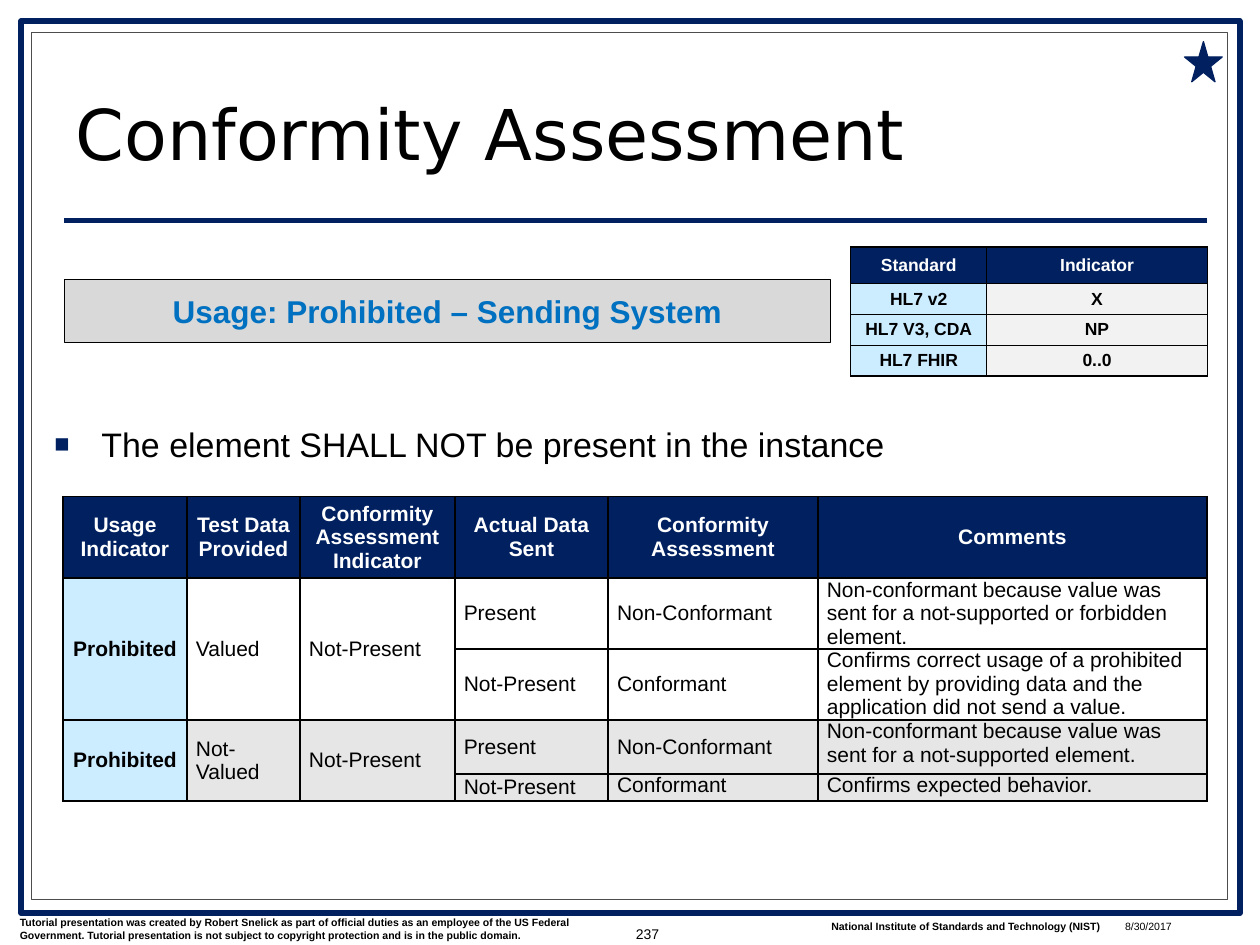
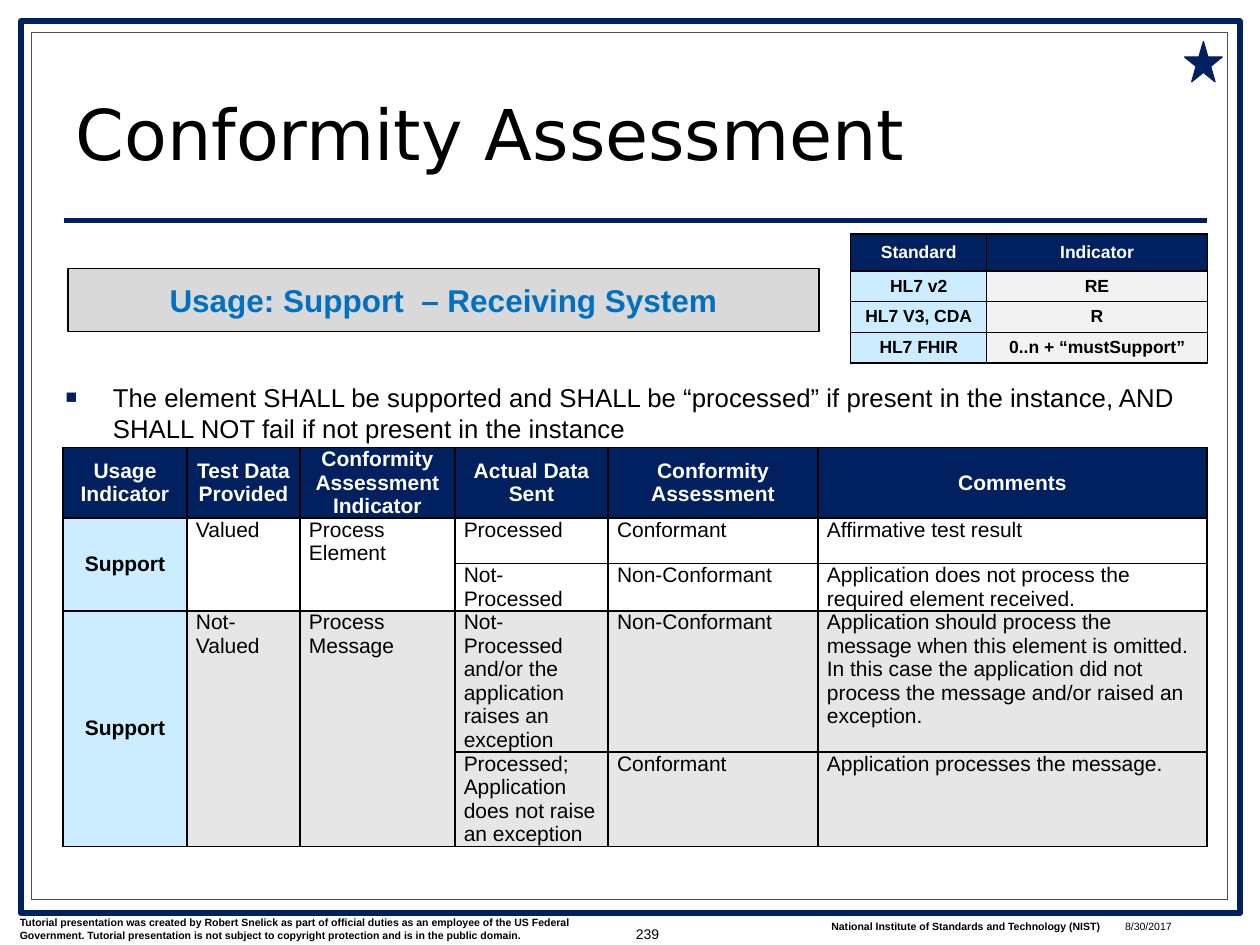
from dataclasses import dataclass
from itertools import product

from lxml.etree import SubElement
from pptx import Presentation
from pptx.dml.color import RGBColor
from pptx.enum.shapes import MSO_CONNECTOR, MSO_SHAPE
from pptx.enum.text import MSO_ANCHOR, MSO_AUTO_SIZE, PP_ALIGN
from pptx.oxml import parse_xml
from pptx.oxml.ns import nsdecls, qn
from pptx.util import Cm, Pt

NAVY, BLACK, WHITE, GRAPHITE = "002060", "000000", "FFFFFF", "4D4D4D"
BLUE, PALE_BLUE = "0070C0", "CCECFF"
BANNER_GREY, BAND_GREY, INDICATOR_GREY = "D9D9D9", "E6E6E6", "F2F2F2"

TITLE = "Conformity Assessment"
CREDIT = ("Tutorial presentation was created by Robert Snelick as part of official duties as an "
          "employee of the US Federal Government. Tutorial presentation is not subject to "
          "copyright protection and is in the public domain.")
INSTITUTE = "National Institute of Standards and Technology (NIST)"
DATE = "8/30/2017"
STANDARDS = ["HL7 v2", "HL7 V3, CDA", "HL7 FHIR"]
HEADERS = ["Usage Indicator", "Test Data Provided", "Conformity Assessment Indicator",
           "Actual Data Sent", "Conformity Assessment", "Comments"]
ASSESSMENT_COLS = [2.5, 2.28, 3.12, 3.09, 4.23, 7.84]
INDICATOR_COLS = [2.74, 4.45]
INDICATOR_ROWS = [0.74, 0.62, 0.62, 0.62]


@dataclass
class Box:
    """A place on the slide, in centimetres."""
    left: float
    top: float
    width: float
    height: float

    def lengths(self) -> list:
        return [Cm(v) for v in (self.left, self.top, self.width, self.height)]


@dataclass
class TextStyle:
    size: float
    color: str = BLACK
    bold: bool = False
    align: PP_ALIGN = PP_ALIGN.LEFT
    font: str = "Arial"


@dataclass
class CellLook:
    style: TextStyle
    fill: str = ""
    anchor: MSO_ANCHOR = MSO_ANCHOR.MIDDLE


@dataclass
class UsageSlide:
    number: str
    banner: str
    banner_box: Box
    indicators: list
    indicator_top: float
    rule: str
    rule_box: Box
    rule_size: float
    table_top: float
    row_heights: list
    rows: list
    top_cells: set


FOOTER = TextStyle(6)
FOOTER_BOLD = TextStyle(6, bold=True)

SLIDES = [
    UsageSlide(
        number="237",
        banner="Usage: Prohibited – Sending System",
        banner_box=Box(1.3, 5.64, 15.44, 1.27),
        indicators=["X", "NP", "0..0"],
        indicator_top=4.98,
        rule="The element SHALL NOT be present in the instance",
        rule_box=Box(0.84, 8.41, 23.5, 0.94),
        rule_size=19.4,
        table_top=10.01,
        row_heights=[1.64, 1.43, 1.43, 1.09, 0.55],
        rows=[
            ["Prohibited", "Valued", "Not-Present", "Present", "Non-Conformant",
             "Non-conformant because value was sent for a not-supported or forbidden element."],
            ["", "", "", "Not-Present", "Conformant",
             "Confirms correct usage of a prohibited element by providing data and the "
             "application did not send a value."],
            ["Prohibited", "Not-Valued", "Not-Present", "Present", "Non-Conformant",
             "Non-conformant because value was sent for a not-supported element."],
            ["", "", "", "Not-Present", "Conformant", "Confirms expected behavior."],
        ],
        top_cells=set(product(range(1, 5), [5])) | {(4, 4)},
    ),
    UsageSlide(
        number="239",
        banner="Usage: Support  – Receiving System",
        banner_box=Box(1.37, 5.41, 15.14, 1.27),
        indicators=["RE", "R", "0..n + “mustSupport”"],
        indicator_top=4.72,
        rule="The element SHALL be supported and SHALL be “processed” if present in the "
             "instance, AND SHALL NOT fail if not present in the instance",
        rule_box=Box(1.07, 7.57, 23.29, 1.37),
        rule_size=14.7,
        table_top=9.02,
        row_heights=[1.42, 0.92, 0.95, 2.85, 1.9],
        rows=[
            ["Support", "Valued", "Process Element", "Processed", "Conformant",
             "Affirmative test result"],
            ["", "", "", "Not-Processed", "Non-Conformant",
             "Application does not process the required element received."],
            ["Support", "Not-Valued", "Process Message",
             "Not-Processed and/or the application raises an exception", "Non-Conformant",
             "Application should process the message when this element is omitted. In this "
             "case the application did not process the message and/or raised an exception."],
            ["", "", "", "Processed; Application does not raise an exception", "Conformant",
             "Application processes the message."],
        ],
        top_cells=set(product(range(1, 5), range(1, 6))),
    ),
]


def rgb(color: str) -> RGBColor:
    return RGBColor.from_string(color)


def write(tf, text: str, style: TextStyle, anchor=MSO_ANCHOR.TOP):
    """Put one styled run in the first paragraph and return that paragraph."""
    tf.word_wrap = True
    tf.vertical_anchor = anchor
    p = tf.paragraphs[0]
    p.alignment = style.align
    r = p.add_run()
    r.text = text
    for name, value in {"size": Pt(style.size), "name": style.font, "bold": style.bold}.items():
        setattr(r.font, name, value)
    r.font.color.rgb = rgb(style.color)
    return p


def add_text(s, box: Box, text: str, style: TextStyle, anchor=MSO_ANCHOR.TOP) -> None:
    write(s.shapes.add_textbox(*box.lengths()).text_frame, text, style, anchor)


def add_preset(s, preset: MSO_SHAPE, box: Box, fill: str, line: str, width: float):
    sp = s.shapes.add_shape(preset, *box.lengths())
    sp.shadow.inherit = False
    sp.fill.solid()
    sp.fill.fore_color.rgb = rgb(fill)
    sp.line.color.rgb = rgb(line)
    sp.line.width = Pt(width)
    return sp


def fill_placeholder(s, index: int, box: Box, text: str, style: TextStyle, anchor):
    """Move a placeholder in front of the frame and write in it."""
    sp = s.placeholders[index]
    s.shapes._spTree.append(sp._element)
    for name, value in zip(("left", "top", "width", "height"), box.lengths()):
        setattr(sp, name, value)
    p = write(sp.text_frame, text, style, anchor)
    sp.text_frame.auto_size = MSO_AUTO_SIZE.NONE
    return p


def add_square_bullet(p) -> None:
    pPr = p._p.get_or_add_pPr()
    pPr.set("marL", str(Cm(0.95)))
    pPr.set("indent", str(-Cm(0.95)))
    SubElement(SubElement(pPr, qn("a:buClr")), qn("a:srgbClr")).set("val", NAVY)
    for tag, name, value in (("a:buSzPct", "val", "75000"), ("a:buFont", "typeface", "Arial"),
                             ("a:buChar", "char", "■")):
        SubElement(pPr, qn(tag)).set(name, value)


def add_frame(s) -> None:
    add_preset(s, MSO_SHAPE.RECTANGLE, Box(0.43, 0.43, 24.56, 17.98), WHITE, NAVY, 3.5)
    add_preset(s, MSO_SHAPE.RECTANGLE, Box(0.64, 0.66, 24.1, 17.48), WHITE, GRAPHITE, 0.75)
    line = s.shapes.add_connector(MSO_CONNECTOR.STRAIGHT, Cm(1.3), Cm(4.45), Cm(24.33), Cm(4.45))
    line.line.color.rgb = rgb(NAVY)
    line.line.width = Pt(3)
    SubElement(line._element.spPr, qn("a:effectLst"))


def add_footer(s, number: str) -> None:
    add_text(s, Box(0.15, 18.34, 12.27, 0.76), CREDIT, FOOTER_BOLD)
    add_text(s, Box(16.51, 18.42, 6.05, 0.51), INSTITUTE, FOOTER_BOLD)
    add_text(s, Box(22.43, 18.42, 2.34, 0.43), DATE, FOOTER)
    add_text(s, Box(12.07, 18.16, 1.47, 1.32), number, TextStyle(8, align=PP_ALIGN.RIGHT),
             MSO_ANCHOR.MIDDLE)


def format_cell(cell, text: str, look: CellLook) -> None:
    for name, value in {"margin_left": Cm(0.18), "margin_right": Cm(0.18), "margin_top": 0,
                        "margin_bottom": 0, "vertical_anchor": look.anchor}.items():
        setattr(cell, name, value)
    write(cell.text_frame, text, look.style, look.anchor)
    if look.fill:
        cell.fill.solid()
        cell.fill.fore_color.rgb = rgb(look.fill)
    else:
        cell.fill.background()
    tcPr = cell._tc.get_or_add_tcPr()
    for i, side in enumerate("LRTB"):
        tcPr.insert(i, parse_xml(
            f'<a:ln{side} {nsdecls("a")} w="{Pt(1)}"><a:solidFill><a:srgbClr val="{BLACK}"/>'
            f'</a:solidFill></a:ln{side}>'))


def add_grid(s, left: float, top: float, cols: list, heights: list, rows: list, look_of):
    """Add a table whose cells look as look_of(row, column) says."""
    box = Box(left, top, sum(cols), sum(heights))
    table = s.shapes.add_table(len(heights), len(cols), *box.lengths()).table
    table.first_row = table.horz_banding = False
    for col, width in zip(table.columns, cols):
        col.width = Cm(width)
    for row, height in zip(table.rows, heights):
        row.height = Cm(height)
    for i, j in product(range(len(heights)), range(len(cols))):
        format_cell(table.cell(i, j), rows[i][j], look_of(i, j))
    return table


def key_look(i: int, j: int, size: float) -> CellLook:
    """Look of a header row or of the key column below it."""
    color, fill = (WHITE, NAVY) if i == 0 else (BLACK, PALE_BLUE)
    return CellLook(TextStyle(size, color, True, PP_ALIGN.CENTER), fill)


def indicator_look(i: int, j: int) -> CellLook:
    look = key_look(i, j, 10)
    if i and j:
        look.fill = INDICATOR_GREY
    return look


def add_assessment_table(s, usage: UsageSlide) -> None:
    def look_of(i: int, j: int) -> CellLook:
        if i == 0 or j == 0:
            return key_look(i, j, 12)
        anchor = MSO_ANCHOR.TOP if (i, j) in usage.top_cells else MSO_ANCHOR.MIDDLE
        return CellLook(TextStyle(12), BAND_GREY if i > 2 else "", anchor)

    table = add_grid(s, 1.27, usage.table_top, ASSESSMENT_COLS, usage.row_heights,
                     [HEADERS] + usage.rows, look_of)
    for i, j in product((1, 3), range(3)):
        table.cell(i, j).merge(table.cell(i + 1, j))


def add_usage_slide(prs, usage: UsageSlide) -> None:
    s = prs.slides.add_slide(prs.slide_layouts[1])
    add_frame(s)
    add_footer(s, usage.number)
    p = fill_placeholder(s, 0, Box(1.27, 1.35, 22.66, 2.29), TITLE,
                         TextStyle(40, font="DejaVu Sans"), MSO_ANCHOR.BOTTOM)
    p.line_spacing = 0.8
    p = fill_placeholder(s, 1, usage.rule_box, usage.rule, TextStyle(usage.rule_size),
                         MSO_ANCHOR.TOP)
    add_square_bullet(p)
    add_assessment_table(s, usage)
    banner = add_preset(s, MSO_SHAPE.RECTANGLE, usage.banner_box, BANNER_GREY, BLACK, 0.75)
    write(banner.text_frame, usage.banner, TextStyle(18, BLUE, True, PP_ALIGN.CENTER),
          MSO_ANCHOR.MIDDLE)
    rows = [("Standard", "Indicator"), *zip(STANDARDS, usage.indicators)]
    add_grid(s, 17.15, usage.indicator_top, INDICATOR_COLS, INDICATOR_ROWS, rows, indicator_look)
    add_preset(s, MSO_SHAPE.STAR_5_POINT, Box(23.88, 0.84, 0.76, 0.81), NAVY, NAVY, 0.75)


def main() -> None:
    prs = Presentation()
    prs.slide_width, prs.slide_height = Cm(25.4), Cm(19.05)
    for usage in SLIDES:
        add_usage_slide(prs, usage)
    prs.save("out.pptx")


if __name__ == "__main__":
    main()
